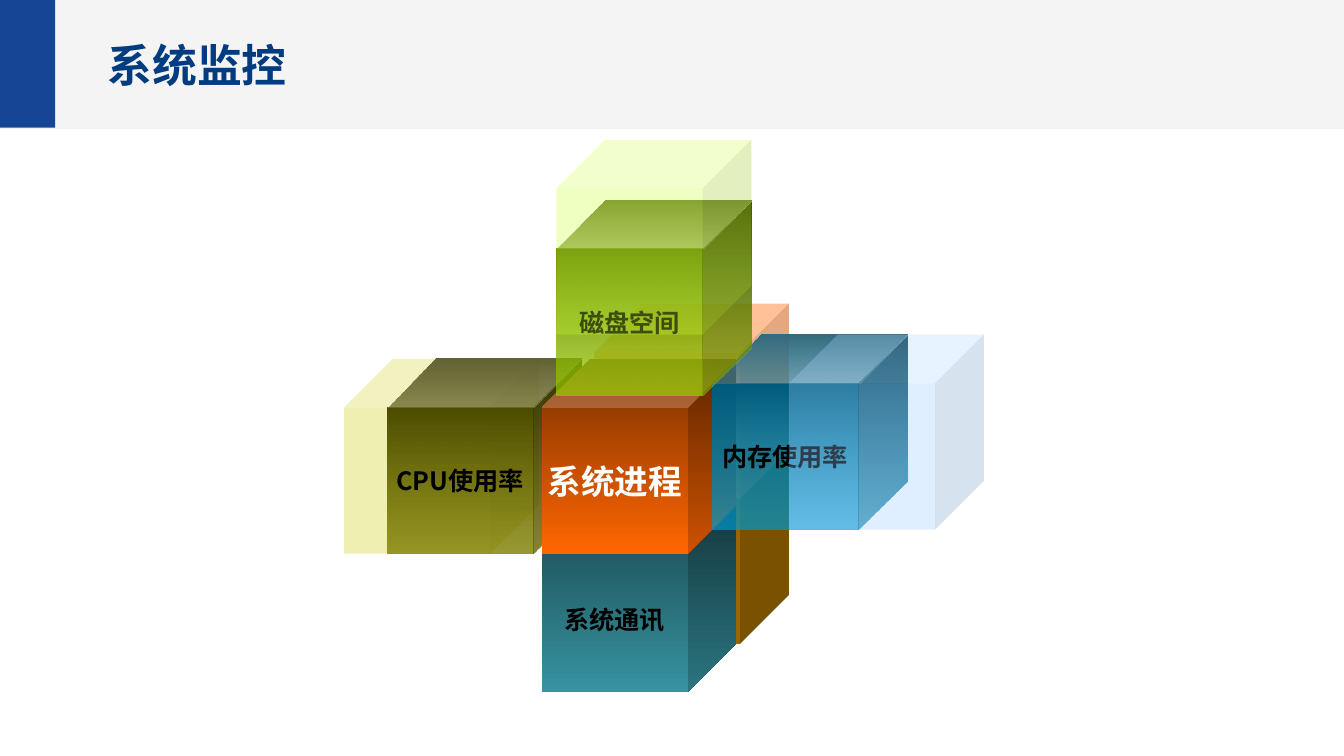
from lxml.etree import SubElement
from pptx import Presentation
from pptx.dml.color import RGBColor
from pptx.enum.shapes import MSO_SHAPE as Shape
from pptx.enum.text import MSO_ANCHOR as Anchor, PP_ALIGN as Align
from pptx.oxml.ns import qn
from pptx.util import Inches, Pt

FONT = "Noto Sans CJK SC"
CUBE_SIDE = 1.45

# Left, top, colour stops as (hex, opacity %), label, size, label colour; back to front
CUBES = [
    (1.86, 2.3, [("996600", 100)], None, None, None),
    (1.47, 2.66, [("19444A", 100), ("3693A0", 100)], "系统通讯", 13.5, "000000"),
    (0, 1.63, [("CCCC00", 30)], None, None, None),
    (1.86, 1.22, [("FF6600", 50)], None, None, None),
    (0.32, 1.63, [("3B3B00", 100), ("808000", 80)], "CPU使用率", 13.5, "000000"),
    (1.47, 1.63, [("762F00", 100), ("FF6600", 100)], "系统进程", 18, "FFFFFF"),
    (2.74, 1.45, [("00475E", 100), ("0099CC", 70)], "内存使用率", 13.5, "000000"),
    (3.31, 1.45, [("99CCFF", 30)], None, None, None),
    (1.58, 0.45, [("475E00", 100), ("99CC00", 70)], "磁盘空间", 13.5, "000000"),
    (1.58, 0, [("CCFF33", 30)], None, None, None),
]


def color(value):
    return RGBColor.from_string(value)


def paint(shape, stops):
    """Fill with one colour, or with a gradient running top to bottom."""
    fill = shape.fill
    if len(stops) == 1:
        fill.solid()
        fill.fore_color.rgb = color(stops[0][0])
    else:
        fill.gradient()
        fill.gradient_angle = 270
        for position, (stop, (value, _)) in enumerate(zip(fill.gradient_stops, stops)):
            stop.position = position
            stop.color.rgb = color(value)
    nodes = list(shape._element.spPr.iter(qn("a:srgbClr")))
    for node, (_, opacity) in zip(nodes, stops):
        if opacity < 100:
            SubElement(node, qn("a:alpha"), val=str(opacity * 1000))


def add_shape(slide, kind, left, top, width, height, stops):
    shape = slide.shapes.add_shape(
        kind, Inches(left), Inches(top), Inches(width), Inches(height))
    shape.shadow.inherit = False
    shape.line.fill.background()
    paint(shape, stops)
    return shape


def write(frame, text, size, value, align):
    frame.text = text
    frame.vertical_anchor = Anchor.MIDDLE
    paragraph = frame.paragraphs[0]
    paragraph.alignment = align
    run = paragraph.runs[0]
    font = run.font
    font.name, font.size, font.bold = FONT, Pt(size), True
    font.color.rgb = color(value)
    SubElement(run._r.get_or_add_rPr(), qn("a:ea"), typeface=FONT)
    return paragraph


def add_header(slide, left, top, width, height):
    # Pale band and blue block
    add_shape(slide, Shape.RECTANGLE, left, top, width, height, [("D5D5D5", 24)])
    add_shape(slide, Shape.RECTANGLE, left + 0.01, top, 0.41, height - 0.01,
              [("174595", 100)])
    # Title
    box = slide.shapes.add_textbox(
        Inches(left + 0.74), Inches(top + 0.24), Inches(5.26), Inches(0.46))
    frame = box.text_frame
    frame.word_wrap = True
    frame.margin_left = frame.margin_right = Inches(0.07)
    frame.margin_top = frame.margin_bottom = Inches(0.04)
    paragraph = write(frame, "系统监控", 24, "013C80", Align.LEFT)
    paragraph.line_spacing = Pt(31.5)


def add_cubes(slide, left, top):
    for x, y, stops, label, size, label_color in CUBES:
        cube = add_shape(slide, Shape.CUBE, left + x, top + y,
                         CUBE_SIDE, CUBE_SIDE, stops)
        cube.adjustments[0] = 0.25
        if label:
            cube.text_frame.word_wrap = False
            write(cube.text_frame, label, size, label_color, Align.CENTER)


def main():
    presentation = Presentation()
    # Widescreen, 16:9
    presentation.slide_width = Inches(10)
    presentation.slide_height = Inches(10) * 9 // 16
    slide = presentation.slides.add_slide(presentation.slide_layouts[6])
    add_header(slide, -0.01, -0.01, 10.02, 0.97)
    add_cubes(slide, 2.56, 1.04)
    presentation.save("out.pptx")


if __name__ == "__main__":
    main()
